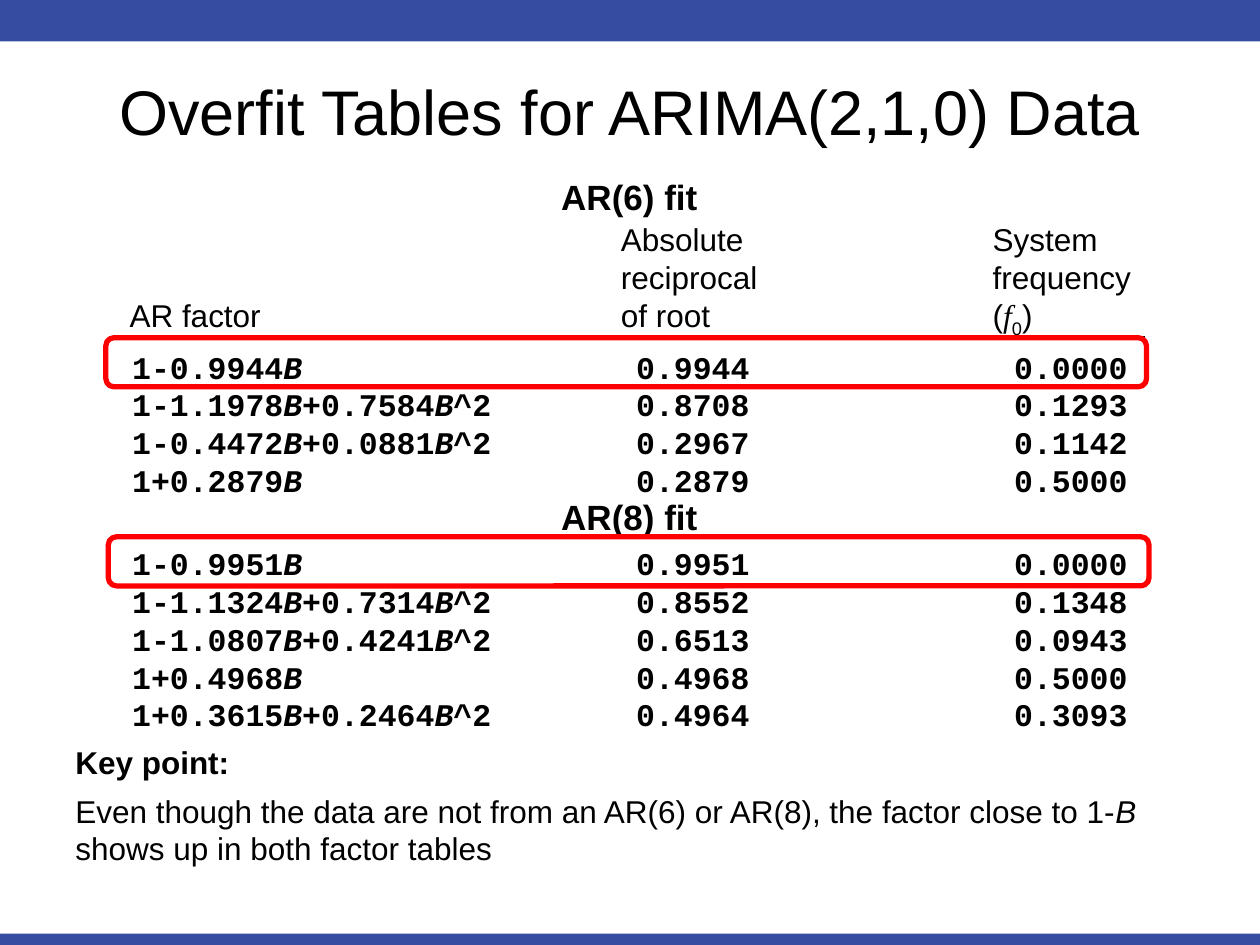
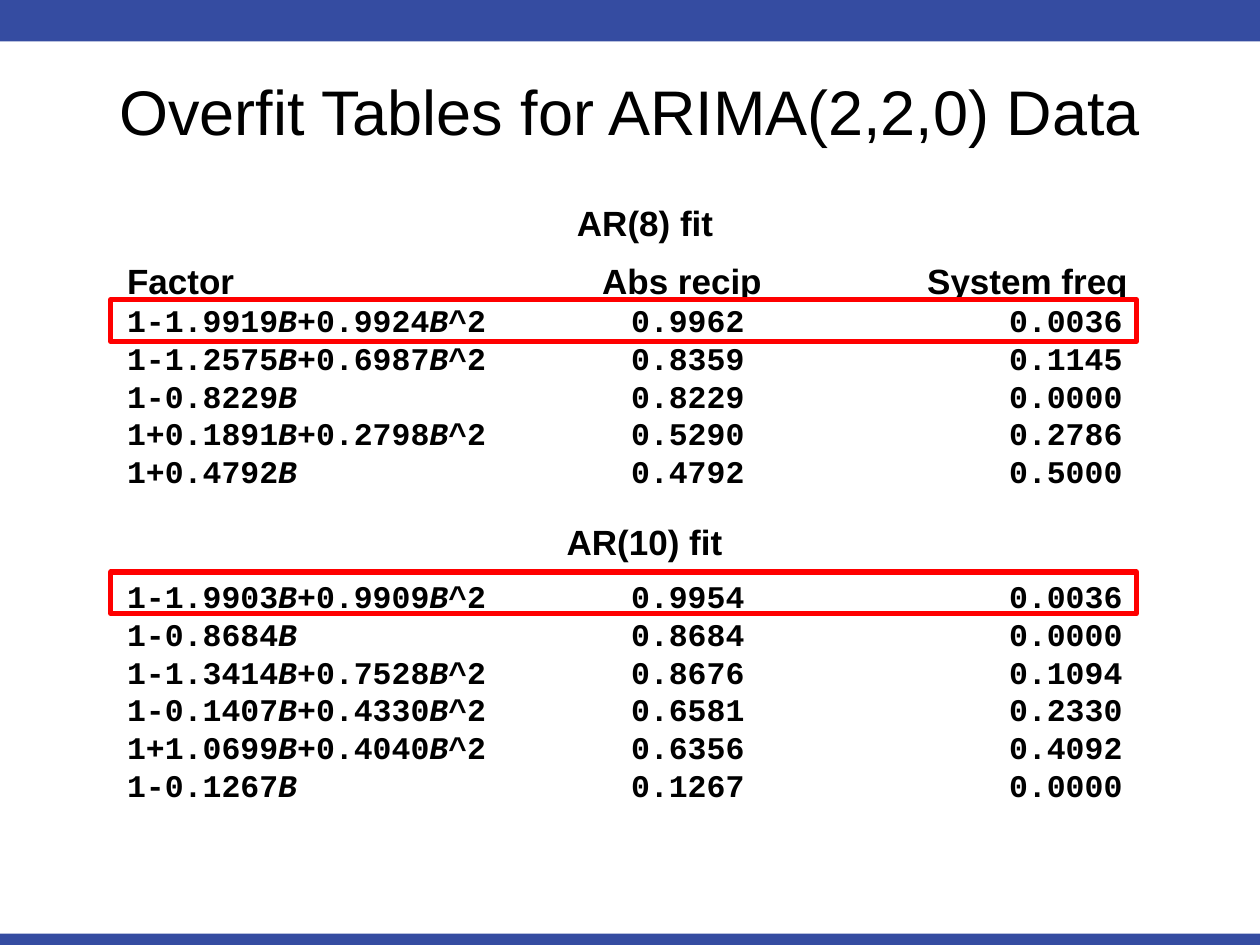
"""Build two slides of overfit factor tables for ARIMA data."""
from lxml.etree import SubElement
from pptx import Presentation
from pptx.dml.color import RGBColor
from pptx.enum.shapes import MSO_CONNECTOR, MSO_SHAPE
from pptx.enum.text import MSO_ANCHOR, PP_ALIGN
from pptx.oxml.ns import qn
from pptx.util import Inches, Pt

COLORS = {k: RGBColor.from_string(v) for k, v in
          {"band": "354CA1", "text": "000000", "mark": "FF0000"}.items()}
SANS, MONO, SERIF = "Arial", "Courier New", "Times New Roman"
W, H = 10, 7.5
MARGIN = 0.05 * W
VALUE_TABS = (4, 7)
HEADER_TABS = (3.77, 6.35)

prs = Presentation()
prs.slide_width, prs.slide_height = Inches(W), Inches(H)


def add_shape(s, kind, box, fill=None, line=None):
    """Add a preset shape with a plain fill or a plain outline."""
    sp = s.shapes.add_shape(kind, *map(Inches, box))
    sp.shadow.inherit = False
    if fill:
        sp.fill.solid()
        sp.fill.fore_color.rgb = COLORS[fill]
        sp.line.fill.background()
    else:
        sp.fill.background()
        sp.line.color.rgb = COLORS[line]
        sp.line.width = Pt(3)


def add_text(s, box, lines, size=18, font=SANS, bold=False, align=PP_ALIGN.LEFT,
             before=0, tabs=()):
    """Add a text box, one paragraph a line, with *marked* parts in italics."""
    tf = s.shapes.add_textbox(*map(Inches, box)).text_frame
    tf.word_wrap = True
    for i, line in enumerate(lines):
        p = tf.add_paragraph() if i else tf.paragraphs[0]
        p.alignment = align
        if i and before:
            p.space_before = Pt(before)
        if tabs:
            tab_list = SubElement(p._p.get_or_add_pPr(), qn("a:tabLst"))
            for pos in tabs:
                SubElement(tab_list, qn("a:tab"), pos=str(Inches(pos)), algn="l")
        parts = line.split("*")
        p.text = parts[0]
        for j, part in enumerate(parts[1:], 1):
            if part:
                r = p.add_run()
                r.text = part
                r.font.italic = j % 2 == 1
        p.font.size, p.font.name, p.font.bold = Pt(size), font, bold
        p.font.color.rgb = COLORS["text"]
    return tf


slides = [
    {
        "title": "Overfit Tables for ARIMA(2,1,0) Data",
        "mark": MSO_SHAPE.ROUNDED_RECTANGLE,
        "marks": [(0.84, 2.68, 8.26, 0.39), (0.86, 4.26, 8.26, 0.39)],
        "fits": [("AR(6) fit", (2.1, 1.34, 5.79, 0.5)),
                 ("AR(8) fit", (2.1, 3.88, 5.79, 0.57))],
        "tables": [
            ((0.95, 2.71, 8.55, 1.54), [
                ("1-0.9944*B*", "0.9944", "0.0000"),
                ("1-1.1978*B*+0.7584*B*^2", "0.8708", "0.1293"),
                ("1-0.4472*B*+0.0881*B*^2", "0.2967", "0.1142"),
                ("1+0.2879*B*", "0.2879", "0.5000")]),
            ((0.95, 4.27, 8.55, 1.56), [
                ("1-0.9951*B*", "0.9951", "0.0000"),
                ("1-1.1324*B*+0.7314*B*^2", "0.8552", "0.1348"),
                ("1-1.0807*B*+0.4241*B*^2", "0.6513", "0.0943"),
                ("1+0.4968*B*", "0.4968", "0.5000"),
                ("1+0.3615*B*+0.2464*B*^2", "0.4964", "0.3093")]),
        ],
    },
    {
        "title": "Overfit Tables for ARIMA(2,2,0) Data",
        "mark": MSO_SHAPE.RECTANGLE,
        "marks": [(0.88, 2.38, 8.14, 0.33), (0.88, 4.54, 8.14, 0.33)],
        "fits": [("AR(8) fit", (1.91, 1.55, 6.42, 0.4)),
                 ("AR(10) fit", (2.22, 4.08, 5.79, 0.45))],
        "tables": [
            ((0.91, 2.34, 8.42, 1.62), [
                ("1-1.9919*B*+0.9924*B*^2", "0.9962", "0.0036"),
                ("1-1.2575*B*+0.6987*B*^2", "0.8359", "0.1145"),
                ("1-0.8229*B*", "0.8229", "0.0000"),
                ("1+0.1891*B*+0.2798*B*^2", "0.5290", "0.2786"),
                ("1+0.4792*B*", "0.4792", "0.5000")]),
            ((0.91, 4.53, 8.42, 1.89), [
                ("1-1.9903*B*+0.9909*B*^2", "0.9954", "0.0036"),
                ("1-0.8684*B*", "0.8684", "0.0000"),
                ("1-1.3414*B*+0.7528*B*^2", "0.8676", "0.1094"),
                ("1-0.1407*B*+0.4330*B*^2", "0.6581", "0.2330"),
                ("1+1.0699*B*+0.4040*B*^2", "0.6356", "0.4092"),
                ("1-0.1267*B*", "0.1267", "0.0000")]),
        ],
    },
]

for n, content in enumerate(slides):
    s = prs.slides.add_slide(prs.slide_layouts[5])
    for top, height in ((0, 0.33), (7.41, 0.1)):
        add_shape(s, MSO_SHAPE.RECTANGLE, (0, top, W, height), fill="band")

    title = s.shapes.title
    title.left, title.top = Inches(MARGIN), Inches(0.5)
    title.width, title.height = Inches(W - 2 * MARGIN), Inches(0.1 * H)
    title.text_frame.text = content["title"]
    title.text_frame.vertical_anchor = MSO_ANCHOR.MIDDLE
    p = title.text_frame.paragraphs[0]
    p.alignment = PP_ALIGN.CENTER
    p.font.size, p.font.name = Pt(36), SANS
    p.font.color.rgb = COLORS["text"]

    if n == 0:
        add_text(s, (4.83, 1.7, 1.83, 0.99), ["Absolute reciprocal \vof root"])
        add_text(s, (0.93, 2.3, 2.08, 0.47), ["AR factor"])
        tf = add_text(s, (7.78, 1.7, 1.38, 0.96), ["System\vfrequency (*f*"])
        p = tf.paragraphs[0]
        p.runs[-1].font.name = SERIF
        r = p.add_run()
        r.text = "0"
        r.font._element.set("baseline", "-25000")
        p.add_run().text = ")"
        for left, right in ((1.01, 3.08), (4.8, 6.26), (7.63, 9.09)):
            rule = s.shapes.add_connector(MSO_CONNECTOR.STRAIGHT, Inches(left),
                                          Inches(2.68), Inches(right), Inches(2.68))
            rule.line.color.rgb = COLORS["text"]
            rule.line.width = Pt(2)
            SubElement(rule._element.spPr, qn("a:effectLst"))
        add_text(s, (MARGIN, 5.85, W - 2 * MARGIN, 1.03),
                 ["Key point:",
                  "Even though the data are not from an AR(6) or AR(8), the factor "
                  "close to 1-*B* shows up in both factor tables"],
                 before=6).paragraphs[0].font.bold = True
    else:
        add_text(s, (0.91, 2.01, 8.42, 0.4), ["Factor\tAbs recip\tSystem freq"],
                 size=20, bold=True, tabs=HEADER_TABS)

    for fit, box in content["fits"]:
        add_text(s, box, [fit], size=20, bold=True, align=PP_ALIGN.CENTER)
    for box, rows in content["tables"]:
        add_text(s, box, ["\t".join(row) for row in rows], font=MONO, bold=True,
                 tabs=VALUE_TABS)
    for box in content["marks"]:
        add_shape(s, content["mark"], box, line="mark")

prs.save("out.pptx")
